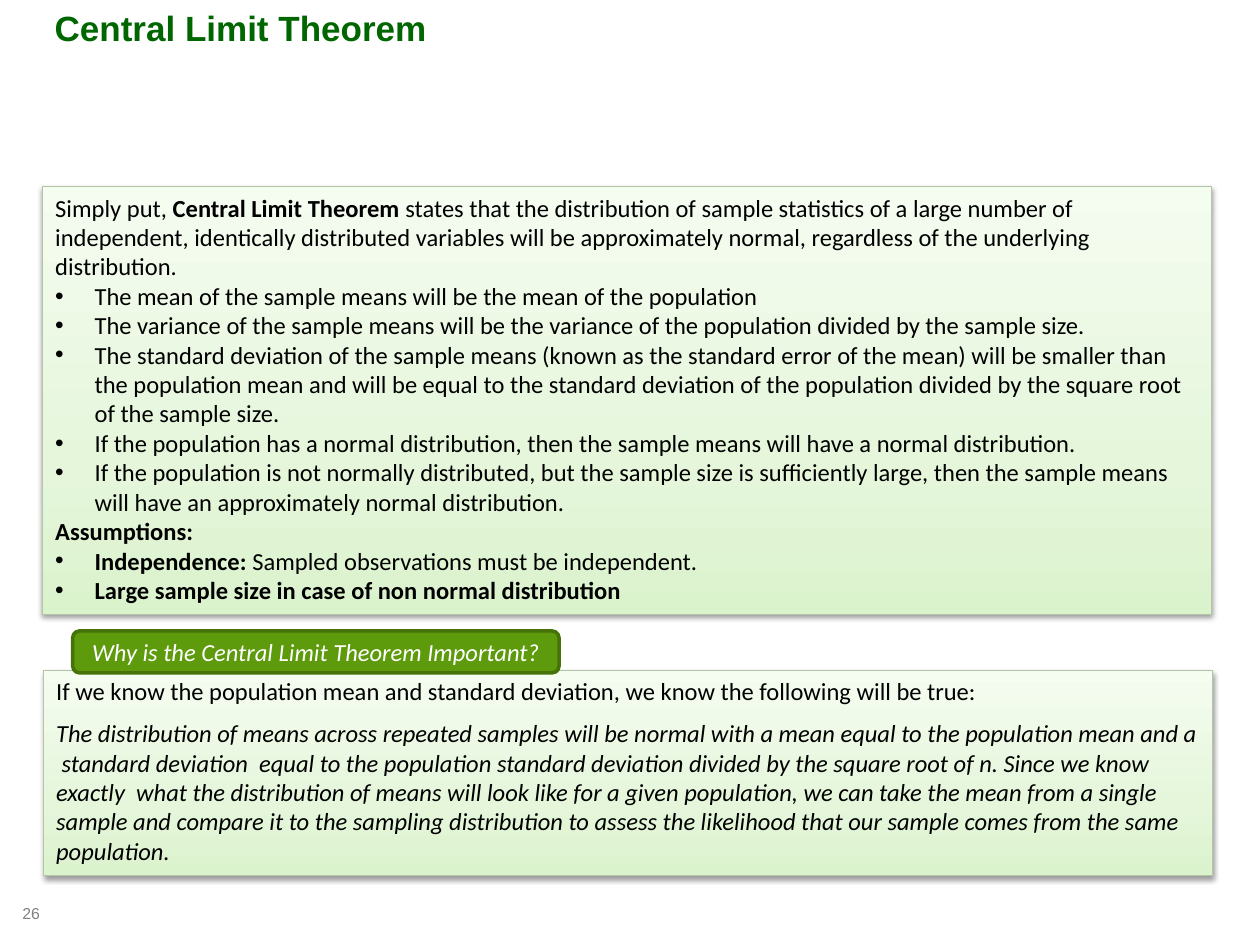
from lxml import etree
from pptx import Presentation
from pptx.dml.color import RGBColor
from pptx.enum.shapes import MSO_SHAPE
from pptx.enum.text import MSO_ANCHOR, MSO_AUTO_SIZE, PP_ALIGN
from pptx.oxml.ns import qn
from pptx.util import Pt

RECTANGLE, ROUNDED = MSO_SHAPE.RECTANGLE, MSO_SHAPE.ROUNDED_RECTANGLE
TOP, MIDDLE, BOTTOM = MSO_ANCHOR.TOP, MSO_ANCHOR.MIDDLE, MSO_ANCHOR.BOTTOM
LEFT, CENTER = PP_ALIGN.LEFT, PP_ALIGN.CENTER
NO_AUTOFIT = MSO_AUTO_SIZE.NONE
PANEL_STOPS = [(0, "DBF3CD"), (35, "E5F6DB"), (100, "F5FCF0")]
BULLET_INDENT = 22.5

THEOREM = [
    {"runs": [
        ("Simply put, ", False),
        ("Central Limit Theorem ", True),
        ("states that the distribution of sample statistics of a large number of independent, "
         "identically distributed variables will be approximately normal, regardless of the "
         "underlying distribution.", False)]},
    {"runs": [("The mean of the sample means will be the mean of the population", False)],
     "bullet": True},
    {"runs": [("The variance of the sample means will be the variance of the population divided "
               "by the sample size.", False)], "bullet": True},
    {"runs": [("The standard deviation of the sample means (known as the standard error of the "
               "mean) will be smaller than the population mean and will be equal to the standard "
               "deviation of the population divided by the square root of the sample size.",
               False)], "bullet": True},
    {"runs": [("If the population has a normal distribution, then the sample means will have a "
               "normal distribution.", False)], "bullet": True},
    {"runs": [("If the population is not normally distributed, but the sample size is "
               "sufficiently large, then the sample means will have an approximately normal "
               "distribution.", False)], "bullet": True},
    {"runs": [("Assumptions:", True)]},
    {"runs": [("Independence: ", True), ("Sampled observations must be independent.", False)],
     "bullet": True},
    {"runs": [("Large sample size in case of non normal distribution", True)], "bullet": True},
]
IMPORTANCE = [
    {"runs": [("If we know the population mean and standard deviation, we know the following "
               "will be true:", False)]},
    {"runs": [("The distribution of means across repeated samples will be normal with a mean "
               "equal to the population mean and a  standard deviation  equal to the population "
               "standard deviation divided by the square root of n. Since we know exactly  what "
               "the distribution of means will look like for a given population, we can take the "
               "mean from a single sample and compare it to the sampling distribution to assess "
               "the likelihood that our sample comes from the same population.", False)],
     "italic": True, "space_before": 7},
]


def color(value):
    """Return the colour for a hex string."""
    return RGBColor.from_string(value)


def write_paragraph(paragraph, runs, size=14, font="Calibri", ink="000000", italic=False,
                    align=LEFT, space_before=0, bullet=False):
    """Write (text, bold) runs into a paragraph with one format."""
    if bullet:
        properties = paragraph._p.get_or_add_pPr()
        properties.set("marL", str(Pt(BULLET_INDENT)))
        properties.set("indent", str(-Pt(BULLET_INDENT)))
        etree.SubElement(properties, qn("a:buFont"), typeface="Arial")
        etree.SubElement(properties, qn("a:buChar"), char="•")
    paragraph.alignment = align
    paragraph.space_before = Pt(space_before)
    for text, bold in runs:
        run = paragraph.add_run()
        run.text = text
        run.font.size = Pt(size)
        run.font.name = font
        run.font.bold = bold
        run.font.italic = italic
        run.font.color.rgb = color(ink)


def write_text(shape, paragraphs, anchor=TOP):
    """Fill a shape with paragraphs given as format dictionaries."""
    frame = shape.text_frame
    frame.word_wrap = True
    frame.auto_size = NO_AUTOFIT
    frame.vertical_anchor = anchor
    for index, content in enumerate(paragraphs):
        paragraph = frame.add_paragraph() if index else frame.paragraphs[0]
        write_paragraph(paragraph, **content)


def add_box(slide, preset, bounds, line, line_width):
    """Add an outlined shape without a shadow."""
    shape = slide.shapes.add_shape(preset, *map(Pt, bounds))
    shape.shadow.inherit = False
    shape.line.color.rgb = color(line)
    shape.line.width = Pt(line_width)
    return shape


def add_panel(slide, bounds, paragraphs):
    """Add a text panel with a green gradient and a soft shadow."""
    panel = add_box(slide, RECTANGLE, bounds, "B2C6A5", 0.75)
    panel.fill.gradient()
    panel.fill.gradient_angle = 90
    properties = panel._element.spPr
    stops = properties.find(qn("a:gradFill")).find(qn("a:gsLst"))
    for stop in list(stops):
        stops.remove(stop)
    for position, value in PANEL_STOPS:
        stop = etree.SubElement(stops, qn("a:gs"), pos=str(position * 1000))
        etree.SubElement(stop, qn("a:srgbClr"), val=value)
    shadow = etree.SubElement(properties.find(qn("a:effectLst")), qn("a:outerShdw"),
                              blurRad=str(Pt(3.1)), dist=str(Pt(1.6)), dir="5400000",
                              rotWithShape="0")
    shade = etree.SubElement(shadow, qn("a:srgbClr"), val="000000")
    etree.SubElement(shade, qn("a:alpha"), val="38000")
    write_text(panel, paragraphs)


def add_heading(slide, bounds, text):
    """Add a rounded green heading."""
    heading = add_box(slide, ROUNDED, bounds, "457209", 2)
    heading.fill.solid()
    heading.fill.fore_color.rgb = color("5D9A0C")
    write_text(heading, [{"runs": [(text, False)], "ink": "FFFFFF", "italic": True,
                          "align": CENTER}], MIDDLE)


def set_title(slide, bounds, text):
    """Place and format the slide title."""
    title = slide.shapes.title
    title.left, title.top, title.width, title.height = map(Pt, bounds)
    write_text(title, [{"runs": [(text, True)], "size": 20, "font": "Arial", "ink": "006600"}])


def add_page_number(slide, bounds, text):
    """Add the page number in the bottom corner."""
    box = slide.shapes.add_textbox(*map(Pt, bounds))
    write_text(box, [{"runs": [(text, False)], "size": 9, "font": "Arial", "ink": "808080"}],
               BOTTOM)


def main():
    """Build the slide and save it."""
    presentation = Presentation()
    presentation.slide_width, presentation.slide_height = Pt(720), Pt(540)
    slide = presentation.slides.add_slide(presentation.slide_layouts[5])
    add_page_number(slide, (5.75, 493, 25.5, 37.5), "26")
    set_title(slide, (24, 0, 672, 78), "Central Limit Theorem")
    add_panel(slide, (25, 383, 668, 117.5), IMPORTANCE)
    add_heading(slide, (41.5, 360.5, 278, 24), "Why is the Central Limit Theorem Important?")
    add_panel(slide, (24.5, 106.5, 668, 244.5), THEOREM)
    presentation.save("out.pptx")


if __name__ == "__main__":
    main()
